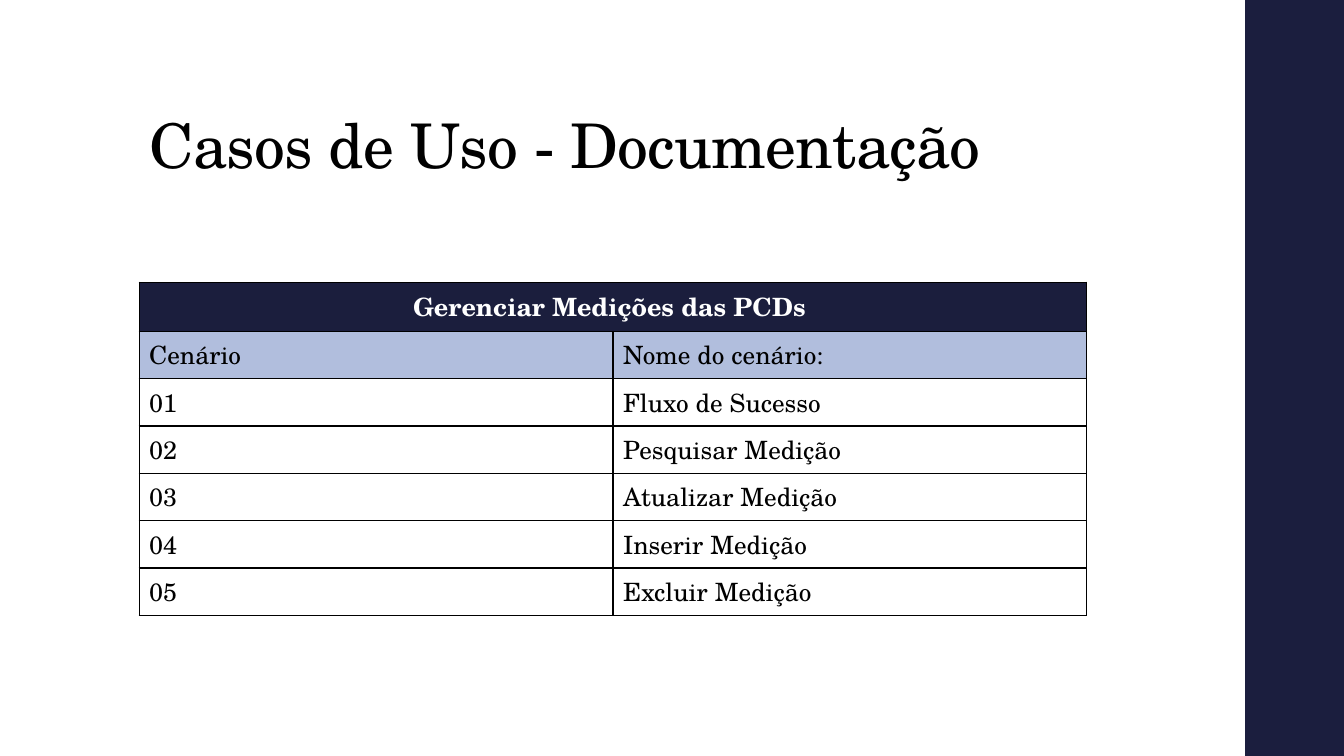
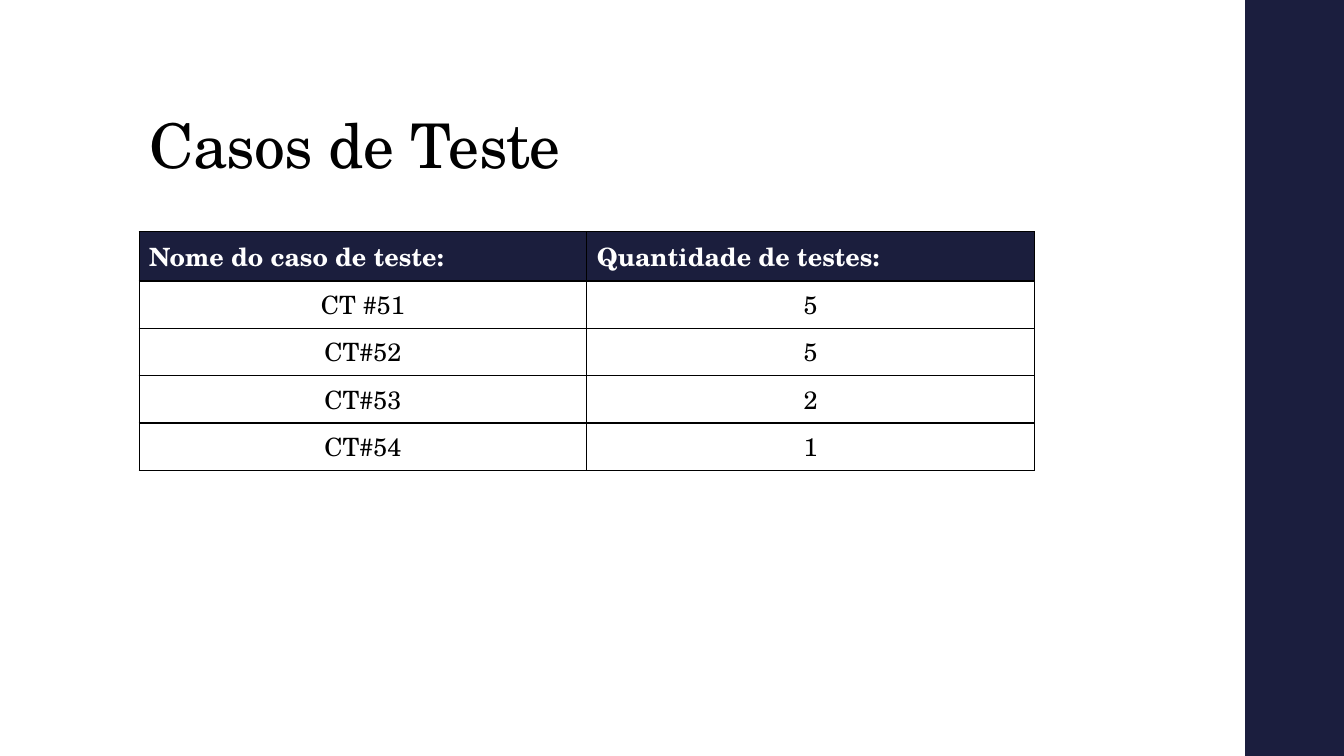
from dataclasses import dataclass

from lxml import etree
from pptx import Presentation
from pptx import util as u
from pptx.dml.color import RGBColor
from pptx.enum import shapes, text
from pptx.oxml.ns import qn
from pptx.slide import Slide
from pptx.table import _Cell

NAVY = RGBColor(0x1B, 0x1E, 0x3E)
HEADER_NAVY = RGBColor(0x1B, 0x1E, 0x3D)
PALE_BLUE = RGBColor(0xB1, 0xBE, 0xDD)
WHITE = RGBColor(0xFF, 0xFF, 0xFF)
BLACK = RGBColor(0, 0, 0)

FONT = "TeX Gyre Schola"
LEFT = u.Inches(1.38)
ROW_HEIGHT = u.Inches(0.47)
BORDER_WIDTH = u.Pt(0.96)
SIDES = ("lnL", "lnR", "lnT", "lnB")
ALIGN_LEFT = text.PP_ALIGN.LEFT
ALIGN_CENTER = text.PP_ALIGN.CENTER

TITLE_FRAME = {
    "vertical_anchor": text.MSO_ANCHOR.BOTTOM,
    "word_wrap": True,
    "auto_size": text.MSO_AUTO_SIZE.NONE,
    "margin_left": u.Inches(0.1),
    "margin_right": u.Inches(0.1),
    "margin_top": u.Inches(0.05),
    "margin_bottom": u.Inches(0.05),
}


@dataclass(frozen=True)
class RowStyle:
    fill: RGBColor
    color: RGBColor = BLACK
    bold: bool = False
    align: text.PP_ALIGN = ALIGN_LEFT


@dataclass(frozen=True)
class TableRow:
    style: RowStyle
    texts: tuple[str, ...]


@dataclass(frozen=True)
class TableSlide:
    title: str
    top: float
    column_width: float
    rows: tuple[TableRow, ...]


BANNER = RowStyle(HEADER_NAVY, WHITE, True, ALIGN_CENTER)
HEADER = RowStyle(HEADER_NAVY, WHITE, True)
SUBHEADER = RowStyle(PALE_BLUE)
BODY = RowStyle(WHITE)
CENTERED = RowStyle(WHITE, align=ALIGN_CENTER)

SCENARIOS = ("Fluxo de Sucesso", "Pesquisar Medição", "Atualizar Medição",
             "Inserir Medição", "Excluir Medição")
TEST_COUNTS = {"CT #51": "5", "CT#52": "5", "CT#53": "2", "CT#54": "1"}

SLIDES = (
    TableSlide("Casos de Uso - Documentação", 2.8, 4.7, (
        TableRow(BANNER, ("Gerenciar Medições das PCDs ",)),
        TableRow(SUBHEADER, ("Cenário", "Nome do cenário:")),
        *(TableRow(BODY, (f"{number:02}", name))
          for number, name in enumerate(SCENARIOS, 1)),
    )),
    TableSlide("Casos de Teste", 2.3, 4.44, (
        TableRow(HEADER, ("Nome do caso de teste:", "Quantidade de testes:")),
        *(TableRow(CENTERED, case) for case in TEST_COUNTS.items()),
    )),
)


def apply_format(target: object, values: dict[str, object]) -> None:
    for name, value in values.items():
        setattr(target, name, value)


def add_side_band(slide: Slide) -> None:
    band = slide.shapes.add_shape(shapes.MSO_SHAPE.RECTANGLE, u.Inches(12.35), 0,
                                  u.Inches(1), u.Inches(7.5))
    band.shadow.inherit = False
    band.fill.solid()
    band.fill.fore_color.rgb = NAVY
    band.line.fill.background()


def set_title(slide: Slide, words: str) -> None:
    title = slide.shapes.title
    apply_format(title, {"left": LEFT, "top": u.Inches(0.4),
                         "width": u.Inches(10.6), "height": u.Inches(1.45)})
    apply_format(title.text_frame, TITLE_FRAME)
    paragraph = title.text_frame.paragraphs[0]
    apply_format(paragraph, {"alignment": ALIGN_LEFT, "line_spacing": 0.9})
    run = paragraph.add_run()
    run.text = words
    apply_format(run.font, {"name": FONT, "size": u.Pt(44)})
    run.font.color.rgb = BLACK
    run._r.get_or_add_rPr().set("spc", "-50")


def style_cell(cell: _Cell, style: RowStyle) -> None:
    """Border and fill a cell; the borders must precede the fill in the XML."""
    properties = cell._tc.get_or_add_tcPr()
    for side in SIDES:
        line = etree.SubElement(properties, qn(f"a:{side}"), w=str(BORDER_WIDTH))
        fill = etree.SubElement(line, qn("a:solidFill"))
        etree.SubElement(fill, qn("a:srgbClr"), val=str(BLACK))
    cell.fill.solid()
    cell.fill.fore_color.rgb = style.fill


def write_cell(cell: _Cell, words: str, style: RowStyle) -> None:
    paragraph = cell.text_frame.paragraphs[0]
    paragraph.alignment = style.align
    run = paragraph.add_run()
    run.text = words
    apply_format(run.font, {"name": FONT, "size": u.Pt(18), "bold": style.bold})
    run.font.color.rgb = style.color


def add_grid(slide: Slide, content: TableSlide) -> None:
    """Add the table; a row with a single text spans all columns."""
    columns = max(len(row.texts) for row in content.rows)
    width = u.Inches(content.column_width)
    table = slide.shapes.add_table(
        len(content.rows), columns, LEFT, u.Inches(content.top),
        width * columns, ROW_HEIGHT * len(content.rows)).table
    for index, row in enumerate(content.rows):
        cells = table.rows[index].cells
        for cell in cells:
            style_cell(cell, row.style)
        if len(row.texts) == 1:
            table.cell(index, 0).merge(table.cell(index, columns - 1))
        for cell, words in zip(cells, row.texts):
            write_cell(cell, words, row.style)


def main() -> None:
    deck = Presentation()
    deck.slide_width, deck.slide_height = u.Inches(13.33), u.Inches(7.5)
    title_only = deck.slide_layouts[5]
    for content in SLIDES:
        slide = deck.slides.add_slide(title_only)
        add_side_band(slide)
        set_title(slide, content.title)
        add_grid(slide, content)
    deck.save("out.pptx")


if __name__ == "__main__":
    main()
